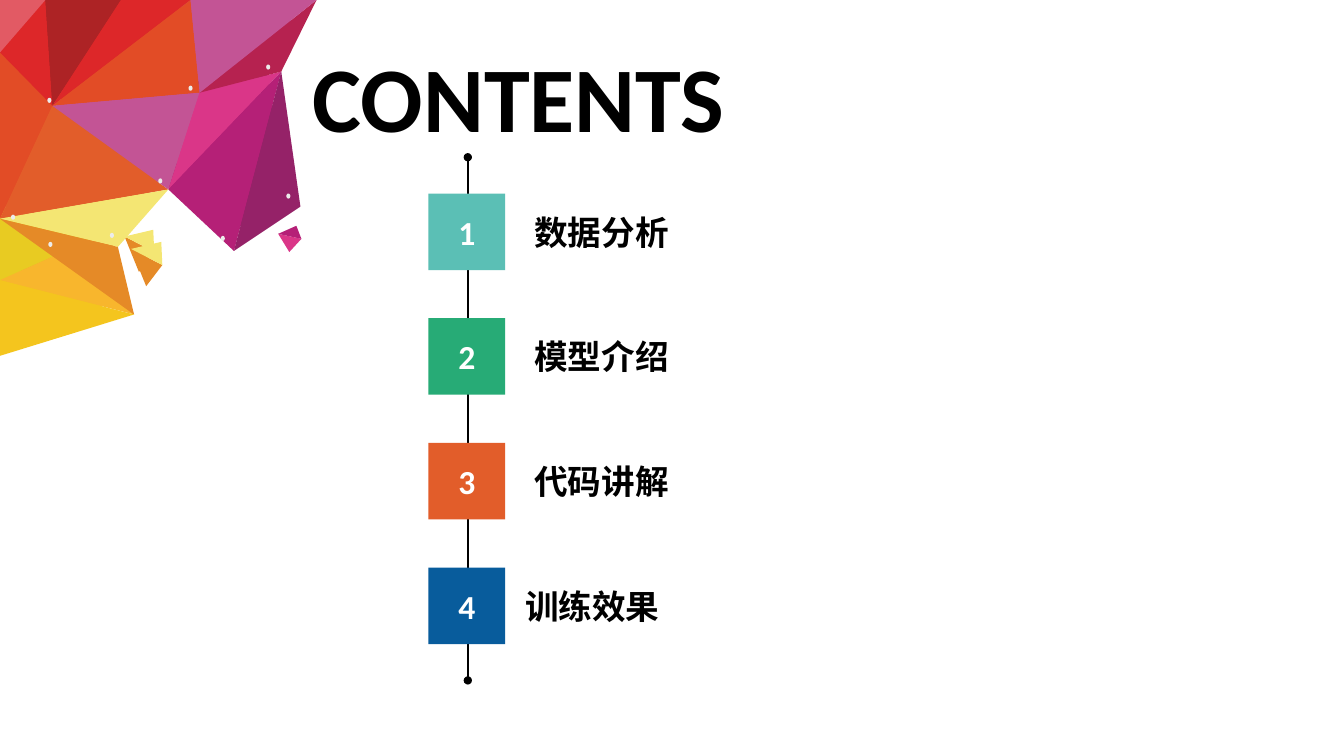
"""Build a contents slide with a numbered timeline and a faceted corner ornament."""
import pptx
import pptx.dml.color
import pptx.enum.shapes
import pptx.enum.text
import pptx.oxml
import pptx.oxml.ns
import pptx.util

SLIDE = (13.33, 7.5)
FONT = "Calibri"
TITLE = "CONTENTS"
SECTIONS = [
    ("数据分析", "teal", 5.2),
    ("模型介绍", "green", 5.2),
    ("代码讲解", "copper", 5.2),
    ("训练效果", "blue", 5.11),
]
COLORS = {
    "black": "000000", "white": "FFFFFF", "dot": "ECECEB",
    "teal": "5BBFB5", "green": "27AB76", "blue": "085C9C", "copper": "E25D2A",
    "lime": "E8CB22", "amber": "F8B62D", "orange": "E24C26", "red": "DD2729",
    "maroon": "AD2325", "orchid": "C35495", "pink": "DA3688", "magenta": "B52077",
    "plum": "952268", "crimson": "B62250", "ochre": "E58A27", "cream": "F4E673",
    "rose": "E25A64", "gold": "F4C51E",
}
CORNERS = {
    "origin": (0, 0), "edge1": (0, 0.52), "edge2": (0, 2.17), "edge3": (0, 2.78),
    "edge4": (0, 3.53), "top1": (0.45, 0), "top2": (1.2, 0), "top3": (1.89, 0),
    "top4": (3.14, 0), "hub": (0.52, 1.05), "middle": (1.98, 0.92),
    "heart": (1.67, 1.88), "peak": (2.79, 0.71), "foot": (2.32, 2.49),
    "right": (2.98, 2.05), "fold": (0.94, 2.36), "notch": (1.17, 2.45),
    "tip": (1.33, 3.12), "chip1": (1.3, 2.47), "chip2": (1.61, 2.63),
    "chip3": (1.45, 2.84), "chip4": (1.6, 2.4), "shard1": (2.76, 2.32),
    "shard2": (2.99, 2.37), "shard3": (2.87, 2.5), "shard4": (2.94, 2.24),
}
FACETS = [
    ("lime", "edge2 edge3 fold"), ("amber", "edge3 tip fold"),
    ("orange", "edge1 edge2 hub"), ("copper", "edge2 heart hub"),
    ("red", "hub top1 edge1"), ("maroon", "hub top2 top1"),
    ("red", "hub top3 top2"), ("orange", "top3 middle hub"),
    ("orchid", "heart hub middle"), ("pink", "heart peak middle"),
    ("magenta", "heart foot peak"), ("plum", "foot right peak"),
    ("crimson", "middle top4 peak"), ("orchid", "top3 top4 middle"),
    ("ochre", "chip3 chip1 chip2"), ("cream", "chip1 chip4 chip2"),
    ("rose", "top1 origin edge1"), ("cream", "heart notch edge2"),
    ("ochre", "notch tip edge2"), ("gold", "edge3 edge4 tip"),
]
SHARDS = [("pink", "shard3 shard1 shard2"), ("magenta", "shard1 shard4 shard2")]
LAYERS = [(0.95, FACETS, {"amber": "E7AC28"}), (1, FACETS + SHARDS, {})]
DOTS = [(2.64, 0.64), (1.87, 0.85), (1.57, 1.77), (0.47, 0.97), (0.48, 2.4),
        (0.11, 2.13), (1.09, 2.31), (2.19, 2.34), (2.84, 1.92)]
DOT_SIZE = (0.04, 0.05)
TITLE_BOX = (3, 0.35, 6.38, 1.21)
AXIS_TOP, AXIS_BOTTOM = 1.56, 6.75
TILE_LEFT, TILE_TOP, TILE, ROW = 4.25, 1.92, 0.76, 1.237
LABEL_DROP, LABEL_SIZE = 0.13, (4.38, 0.51)
UNITS = 1000


def inches(*lengths):
    return [pptx.util.Inches(length) for length in lengths]


def paint(shape, color):
    shape.fill.solid()
    shape.fill.fore_color.rgb = pptx.dml.color.RGBColor.from_string(color)
    shape.line.fill.background()
    shape.shadow.inherit = False


def write(shape, text, size, color, align="LEFT", anchor="TOP"):
    frame = shape.text_frame
    frame.word_wrap = True
    frame.auto_size = pptx.enum.text.MSO_AUTO_SIZE.NONE
    frame.vertical_anchor = getattr(pptx.enum.text.MSO_ANCHOR, anchor)
    para = frame.paragraphs[0]
    para.alignment = getattr(pptx.enum.text.PP_ALIGN, align)
    span = para.add_run()
    span.text = text
    span.font.name = FONT
    span.font.size = pptx.util.Pt(size)
    span.font.bold = True
    span.font.color.rgb = pptx.dml.color.RGBColor.from_string(COLORS[color])


def add_ornament(page):
    for scale, facets, tints in LAYERS:
        palette = {**COLORS, **tints}
        for color, names in facets:
            points = [(x * scale * UNITS, y * scale * UNITS)
                      for x, y in map(CORNERS.get, names.split())]
            builder = page.shapes.build_freeform(
                *points[0], scale=pptx.util.Inches(1) / UNITS)
            builder.add_line_segments(points[1:], close=True)
            paint(builder.convert_to_shape(), palette[color])
    for spot in DOTS:
        dot = page.shapes.add_shape(
            pptx.enum.shapes.MSO_SHAPE.OVAL, *inches(*spot, *DOT_SIZE))
        paint(dot, COLORS["dot"])


def add_axis(page):
    center = TILE_LEFT + TILE / 2 + 0.01
    axis = page.shapes.add_connector(
        pptx.enum.shapes.MSO_CONNECTOR.STRAIGHT,
        *inches(center, AXIS_TOP, center, AXIS_BOTTOM))
    axis.line.width = pptx.util.Pt(1.75)
    axis.line.color.rgb = pptx.dml.color.RGBColor.from_string(COLORS["black"])
    stroke = axis.line.fill._xPr
    for end in ("a:headEnd", "a:tailEnd"):
        cap = pptx.oxml.parse_xml(f'<{end} {pptx.oxml.ns.nsdecls("a")} type="oval"/>')
        stroke.append(cap)
    axis._element.spPr.append(
        pptx.oxml.parse_xml(f'<a:effectLst {pptx.oxml.ns.nsdecls("a")}/>'))


def add_sections(page):
    for index, (name, color, label_left) in enumerate(SECTIONS):
        top = TILE_TOP + index * ROW
        tile = page.shapes.add_shape(
            pptx.enum.shapes.MSO_SHAPE.RECTANGLE,
            *inches(TILE_LEFT, top, TILE, TILE))
        paint(tile, COLORS[color])
        write(tile, str(index + 1), 24, "white", "CENTER", "MIDDLE")
        label = page.shapes.add_textbox(
            *inches(label_left, top + LABEL_DROP, *LABEL_SIZE))
        write(label, name, 24, "black")


def main():
    deck = pptx.Presentation()
    deck.slide_width, deck.slide_height = inches(*SLIDE)
    page = deck.slides.add_slide(deck.slide_layouts[5])
    title = page.shapes.title
    title.left, title.top, title.width, title.height = inches(*TITLE_BOX)
    write(title, TITLE, 66, "black")
    add_ornament(page)
    add_axis(page)
    add_sections(page)
    deck.save("out.pptx")


if __name__ == "__main__":
    main()
